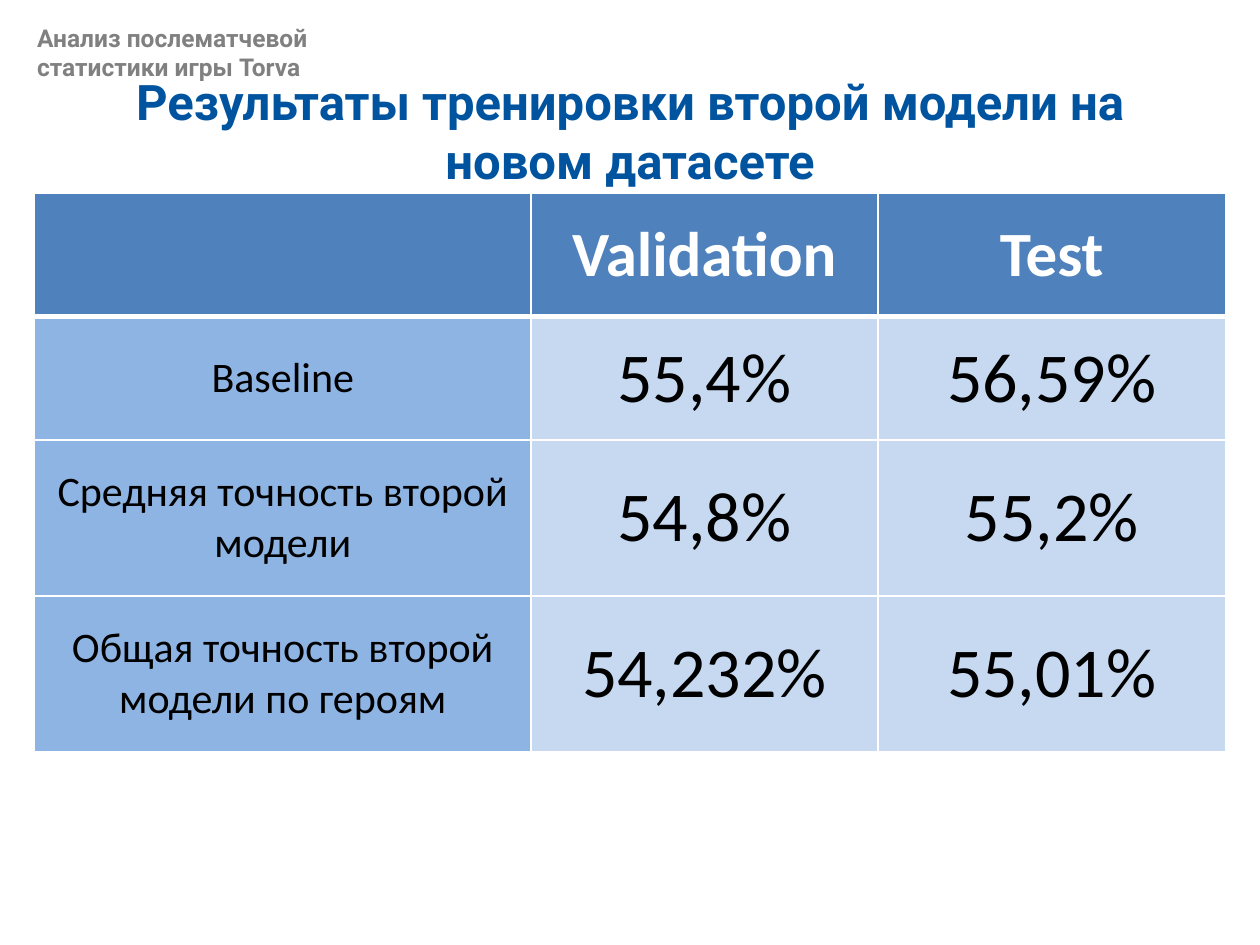
"""Builds a slide with a results table for the second model."""
from dataclasses import dataclass

from lxml import etree
from pptx import Presentation
from pptx.dml.color import RGBColor
from pptx.enum.text import MSO_ANCHOR, MSO_AUTO_SIZE, PP_ALIGN
from pptx.oxml.ns import qn
from pptx.util import Cm, Pt

CENTER, LEFT = PP_ALIGN.CENTER, PP_ALIGN.LEFT
MIDDLE, TOP = MSO_ANCHOR.MIDDLE, MSO_ANCHOR.TOP
NO_AUTOFIT = MSO_AUTO_SIZE.NONE
TITLE_ONLY = 5


@dataclass(frozen=True)
class Theme:
    heading_font: str = "Roboto"
    table_font: str = "Calibri"
    white: str = "FFFFFF"
    black: str = "000000"
    grey: str = "808080"
    title_blue: str = "00549F"
    header_fill: str = "4F81BD"
    label_fill: str = "8EB4E3"
    value_fill: str = "C6D9F1"
    topic_size: int = 14
    title_size: int = 28
    header_size: int = 36
    label_size: int = 24
    value_size: int = 40
    thin: int = 1
    thick: int = 3


THEME = Theme()

RESULTS = [
    ("", "Validation", "Test"),
    ("Baseline", "55,4%", "56,59%"),
    ("Средняя точность второй модели", "54,8%", "55,2%"),
    ("Общая точность второй модели по героям", "54,232%", "55,01%"),
]
COLUMN_WIDTHS = (10, 7, 7)
ROW_HEIGHTS = (2.49, 2.49, 3.14, 3.14)


def write(tf, text, font, size, color, bold, align):
    """Fill a text frame with one formatted paragraph."""
    tf.text = text
    p = tf.paragraphs[0]
    p.alignment = align
    for r in p.runs:
        r.font.name = font
        r.font.size = Pt(size)
        r.font.bold = bold
        r.font.color.rgb = RGBColor.from_string(color)


def place_heading(sp, box, text, size, color, align):
    """Position a heading shape and write its text."""
    sp.left, sp.top, sp.width, sp.height = map(Cm, box)
    tf = sp.text_frame
    tf.word_wrap = True
    tf.auto_size = NO_AUTOFIT
    tf.vertical_anchor = TOP
    write(tf, text, THEME.heading_font, size, color, True, align)


def add_borders(cell, top, bottom):
    """Draw white borders round a cell, with widths in points."""
    tc_pr = cell._tc.get_or_add_tcPr()
    widths = {"lnL": THEME.thin, "lnR": THEME.thin, "lnT": top, "lnB": bottom}
    for tag, width in widths.items():
        ln = etree.SubElement(tc_pr, qn(f"a:{tag}"), w=str(Pt(width)))
        fill = etree.SubElement(ln, qn("a:solidFill"))
        etree.SubElement(fill, qn("a:srgbClr"), val=THEME.white)


def cell_style(row, col):
    """Return fill, type size, text colour and boldness for a cell."""
    if row == 0:
        return THEME.header_fill, THEME.header_size, THEME.white, True
    if col == 0:
        return THEME.label_fill, THEME.label_size, THEME.black, False
    return THEME.value_fill, THEME.value_size, THEME.black, False


def format_cell(cell, row, col, text):
    """Write and style one cell of the results table."""
    fill, size, color, bold = cell_style(row, col)
    add_borders(
        cell,
        top=THEME.thick if row == 1 else THEME.thin,
        bottom=THEME.thick if row == 0 else THEME.thin,
    )
    cell.fill.solid()
    cell.fill.fore_color.rgb = RGBColor.from_string(fill)
    cell.vertical_anchor = MIDDLE
    write(cell.text_frame, text, THEME.table_font, size, color, bold, CENTER)


def add_results_table(s, left, top):
    """Add the results table to the slide."""
    table = s.shapes.add_table(
        len(RESULTS), len(COLUMN_WIDTHS), Cm(left), Cm(top),
        Cm(sum(COLUMN_WIDTHS)), Cm(sum(ROW_HEIGHTS)),
    ).table
    for column, width in zip(table.columns, COLUMN_WIDTHS):
        column.width = Cm(width)
    for i, (height, values) in enumerate(zip(ROW_HEIGHTS, RESULTS)):
        table.rows[i].height = Cm(height)
        for j, text in enumerate(values):
            format_cell(table.cell(i, j), i, j, text)


def main():
    """Build and save the slide."""
    prs = Presentation()
    prs.slide_width, prs.slide_height = Cm(25.4), Cm(19.05)
    s = prs.slides.add_slide(prs.slide_layouts[TITLE_ONLY])
    topic = s.shapes.add_textbox(0, 0, 0, 0)
    place_heading(topic, (0.5, 0.33, 8.2, 1.45),
                  "Анализ послематчевой статистики игры Torva",
                  THEME.topic_size, THEME.grey, LEFT)
    place_heading(s.shapes.title, (2.2, 1.32, 21, 2.64),
                  "Результаты тренировки второй модели на новом датасете",
                  THEME.title_size, THEME.title_blue, CENTER)
    add_results_table(s, 0.7, 3.89)
    prs.save("out.pptx")


if __name__ == "__main__":
    main()
